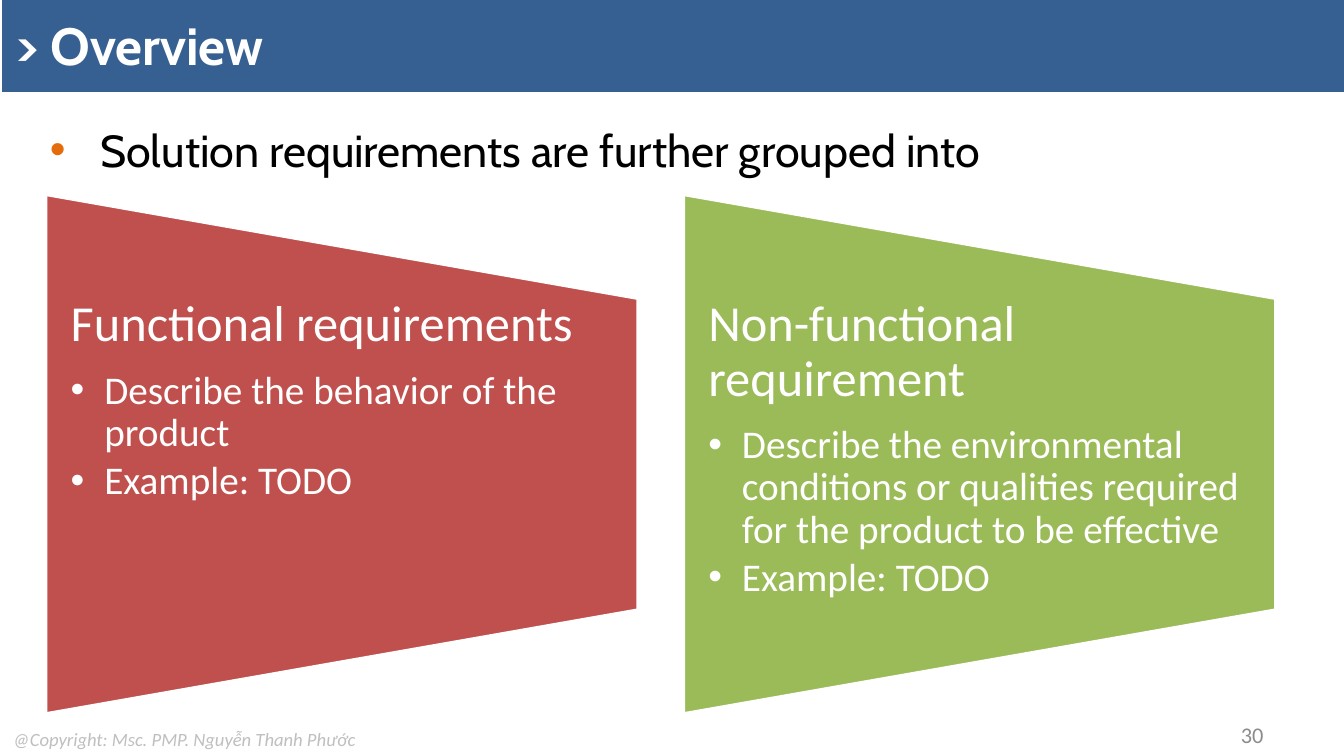
from lxml import etree
from pptx import Presentation
from pptx.dml.color import RGBColor
from pptx.enum.shapes import MSO_SHAPE
from pptx.enum.text import MSO_ANCHOR, MSO_AUTO_SIZE, PP_ALIGN
from pptx.oxml.ns import qn
from pptx.util import Pt

TRAPEZOID = MSO_SHAPE.FLOWCHART_MANUAL_OPERATION
TOP, MIDDLE = MSO_ANCHOR.TOP, MSO_ANCHOR.MIDDLE
LEFT, RIGHT = PP_ALIGN.LEFT, PP_ALIGN.RIGHT
NO_FIT = MSO_AUTO_SIZE.NONE
TITLE_ONLY = 5
WHITE = "FFFFFF"

PANELS = [
    ("C0504D", "Functional requirements",
     ["Describe the behavior of the product", "Example: TODO"]),
    ("9BBB59", "Non-functional requirement",
     ["Describe the environmental conditions or qualities required "
      "for the product to be effective", "Example: TODO"]),
]


def colour(value):
    """Return the colour for a hex string."""
    return RGBColor.from_string(value)


def paint(target, value):
    """Give a shape a solid fill."""
    target.fill.solid()
    target.fill.fore_color.rgb = colour(value)


def add_bullet(para, indent, tint):
    """Give a paragraph a round bullet with a hanging indent in points."""
    properties = para._p.get_or_add_pPr()
    properties.set("marL", str(Pt(indent)))
    properties.set("indent", str(-Pt(indent)))
    holder = etree.SubElement(properties, qn("a:buClr"))
    etree.SubElement(holder, qn("a:srgbClr"), val=tint)
    etree.SubElement(properties, qn("a:buFont"), typeface="Arial")
    etree.SubElement(properties, qn("a:buChar"), char="•")


def write(para, text, size, font="Calibri", tint=WHITE, bold=False, italic=False,
          align=LEFT, line=None, after=0, indent=0, bullet_tint=WHITE):
    """Write formatted text into a paragraph."""
    if indent:
        add_bullet(para, indent, bullet_tint)
    para.alignment = align
    para.space_before = Pt(0)
    para.space_after = Pt(after)
    if line:
        para.line_spacing = line
    span = para.add_run()
    span.text = text
    span.font.size = Pt(size)
    span.font.name = font
    span.font.color.rgb = colour(tint)
    span.font.bold = bold
    span.font.italic = italic


def add_box(page, left, top, width, height, anchor=TOP, wrap=True):
    """Add a text box and return its text frame."""
    box = page.shapes.add_textbox(Pt(left), Pt(top), Pt(width), Pt(height))
    frame = box.text_frame
    frame.word_wrap = wrap
    frame.auto_size = NO_FIT
    frame.vertical_anchor = anchor
    return frame


def place_title(page, left, top, width, height):
    """Turn the title placeholder into the header band."""
    title = page.shapes.title
    title.left, title.top = Pt(left), Pt(top)
    title.width, title.height = Pt(width), Pt(height)
    paint(title, "376092")
    frame = title.text_frame
    frame.auto_size = NO_FIT
    frame.vertical_anchor = MIDDLE
    write(frame.paragraphs[0], "> Overview", 28, font="Cabin", bold=True)


def place_intro(page, left, top, width, height):
    """Place the introductory bullet."""
    frame = add_box(page, left, top, width, height)
    write(frame.paragraphs[0], "Solution requirements are further grouped into", 24,
          font="Cabin", tint="000000", indent=27, bullet_tint="E46C0A")


def place_panel(page, left, top, width, height, fill, heading, points):
    """Place a sideways trapezoid with a heading and bullets."""
    shift = (width - height) / 2
    panel = page.shapes.add_shape(
        TRAPEZOID, Pt(left + shift), Pt(top - shift), Pt(height), Pt(width))
    panel.rotation = 270
    panel.shadow.inherit = False
    paint(panel, fill)
    panel.line.color.rgb = colour(WHITE)
    panel.line.width = Pt(2)

    frame = add_box(page, left, top + height * 0.2, width, height * 0.6)
    frame.margin_left = frame.margin_right = Pt(13.5)
    frame.margin_top = frame.margin_bottom = Pt(0)
    write(frame.paragraphs[0], heading, 27, line=0.9, after=9.45)
    for point in points:
        write(frame.add_paragraph(), point, 21, line=0.9, after=3.15, indent=18)


def place_panels(page, left, top, width, height, gap):
    """Place the panels side by side in equal widths."""
    panel_width = (width - gap * (len(PANELS) - 1)) / len(PANELS)
    for index, panel in enumerate(PANELS):
        place_panel(page, left + index * (panel_width + gap), top,
                    panel_width, height, *panel)


def place_footer(page):
    """Place the copyright line and the page number."""
    credit = add_box(page, 0, 386.6, 202.3, 19.4, wrap=False)
    write(credit.paragraphs[0], "@Copyright: Msc. PMP. Nguyễn Thanh Phước", 10,
          tint="BFBFBF", italic=True)
    number = add_box(page, 516, 383, 168, 21.6, anchor=MIDDLE)
    write(number.paragraphs[0], "30", 12, tint="8C8C8C", align=RIGHT)


def main():
    """Build and save the deck."""
    deck = Presentation()
    deck.slide_width, deck.slide_height = Pt(720), Pt(405)
    page = deck.slides.add_slide(deck.slide_layouts[TITLE_ONLY])
    place_title(page, 1.2, -1.2, 718.8, 50.4)
    place_intro(page, 19.6, 62, 664.4, 38)
    place_panels(page, 24.4, 104, 659.2, 278.6, gap=24)
    place_footer(page)
    deck.save("out.pptx")


if __name__ == "__main__":
    main()
